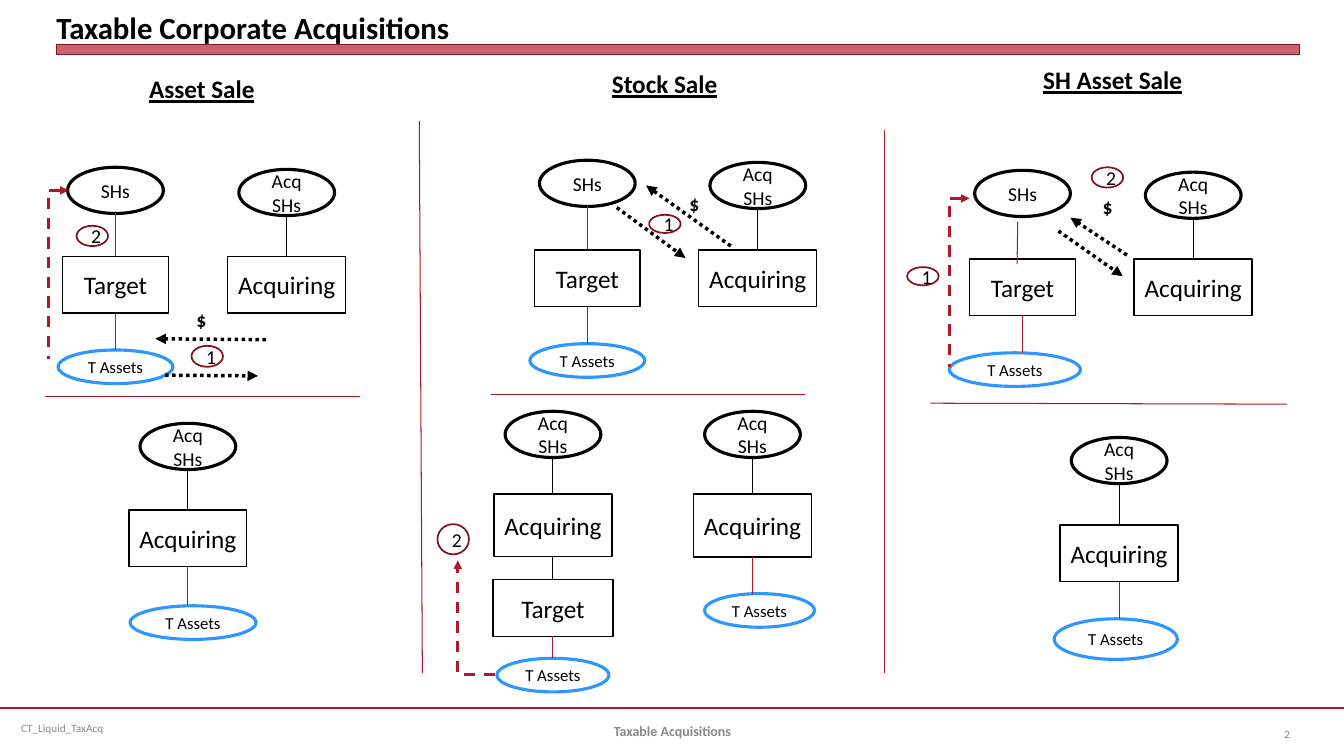
"""Build the slide comparing three forms of taxable corporate acquisition."""
from pptx import Presentation
from pptx.dml.color import RGBColor
from pptx.enum.dml import MSO_LINE as DASH
from pptx.enum.shapes import MSO_CONNECTOR as CONN, MSO_SHAPE as SHAPE
from pptx.enum.text import MSO_ANCHOR as ANCHOR, PP_ALIGN as ALIGN
from pptx.oxml.ns import qn
from pptx.util import Pt
from lxml.etree import SubElement

COLORS = {"black": "000000", "white": "FFFFFF", "red": "B0182A", "rule": "B01C2E",
          "dark": "821522", "blue": "3096FF", "grey": "898989", "number": "808080"}

OWNER = (SHAPE.OVAL, 14, "black", 2.25, 68.4, 33)
BOX = (SHAPE.RECTANGLE, 18, "black", 1, 84.3, 40.5)
NODES = {
    "SHs": OWNER,
    "Acq\nSHs": OWNER,
    "Acquiring": BOX,
    "Target": BOX[:4] + (75.6, 40.5),
    "T Assets": (SHAPE.OVAL, 12, "blue", 2.25, 82, 24),
}


def color(name):
    return RGBColor.from_string(COLORS[name])


def write(tf, text, size=14, ink="black", bold=False, underline=False,
          align=ALIGN.LEFT, anchor=ANCHOR.TOP, wrap=False):
    tf.word_wrap = wrap
    tf.vertical_anchor = anchor
    for i, row in enumerate(text.split("\n")):
        p = tf.add_paragraph() if i else tf.paragraphs[0]
        p.alignment = align
        r = p.add_run()
        r.text = row
        r.font.name = "Calibri"
        r.font.size = Pt(size)
        r.font.bold = bold
        r.font.underline = underline
        r.font.color.rgb = color(ink)


def add_text(s, text, x, y, w, h, **fmt):
    sp = s.shapes.add_textbox(Pt(x), Pt(y), Pt(w), Pt(h))
    write(sp.text_frame, text, **fmt)


def add_shape(s, kind, x, y, w, h, ink, weight, fill=None):
    sp = s.shapes.add_shape(kind, Pt(x), Pt(y), Pt(w), Pt(h))
    sp.shadow.inherit = False
    if fill:
        sp.fill.solid()
        sp.fill.fore_color.rgb = color(fill)
    else:
        sp.fill.background()
    sp.line.color.rgb = color(ink)
    sp.line.width = Pt(weight)
    return sp


def add_node(s, name, cx, top, **size):
    kind, font_size, ink, weight, w, h = NODES[name]
    w, h = size.get("w", w), size.get("h", h)
    sp = add_shape(s, kind, cx - w / 2, top, w, h, ink, weight)
    write(sp.text_frame, name, size=font_size, align=ALIGN.CENTER, anchor=ANCHOR.MIDDLE)
    return sp


def add_badge(s, text, x, y, h):
    sp = add_shape(s, SHAPE.OVAL, x, y, 22.5, h, "dark", 1.25, fill="white")
    write(sp.text_frame, text, align=ALIGN.CENTER, anchor=ANCHOR.MIDDLE, wrap=True)


def add_line(s, x1, y1, x2, y2, ink="red", weight=0.75, dash=None, arrow=None, kind=CONN.STRAIGHT):
    c = s.shapes.add_connector(kind, Pt(x1), Pt(y1), Pt(x2), Pt(y2))
    c.line.color.rgb = color(ink)
    c.line.width = Pt(weight)
    if dash:
        c.line.dash_style = dash
    if arrow:
        SubElement(c.line._get_or_add_ln(), qn(f"a:{arrow}"), type="triangle")
    SubElement(c._element.spPr, qn("a:effectLst"))
    return c


def add_exchange(s, *ends):
    add_line(s, *ends, ink="black", weight=2.5, dash=DASH.ROUND_DOT, arrow="tailEnd")


def add_elbow(s, *ends, arrow):
    c = add_line(s, *ends, weight=2, dash=DASH.DASH, arrow=arrow, kind=CONN.ELBOW)
    c._element.spPr.find(qn("a:prstGeom")).set("prst", "bentConnector2")


def add_chain(s, cx, *items):
    """Stack (name, top, options) nodes and join each to the one below."""
    above = None
    for name, top, *options in items:
        size = dict(options[0]) if options else {}
        sp = add_node(s, name, size.pop("cx", cx), top, **size)
        if above:
            upper_name, upper = above
            ink = "red" if name == "T Assets" or upper_name == "SHs" else "black"
            c = add_line(s, cx, (upper.top + upper.height) / Pt(1), cx, top, ink)
            if NODES[upper_name][0] == SHAPE.RECTANGLE:
                c.begin_connect(upper, 2)
            if NODES[name][0] == SHAPE.RECTANGLE:
                c.end_connect(sp, 0)
        above = name, sp


def add_frame(s):
    add_line(s, 0, 505.5, 960, 505.5, "rule", 1.25)
    bar = add_shape(s, SHAPE.RECTANGLE, 40.3, 32, 888, 7, "dark", 0.5, fill="rule")
    fill = bar._element.spPr.find(qn("a:solidFill"))
    SubElement(fill[0], qn("a:alpha"), val="69000")
    title = s.shapes.title
    title.left, title.top, title.width, title.height = Pt(40.3), Pt(3.6), Pt(888), Pt(28.8)
    tf = title.text_frame
    tf.margin_left = tf.margin_right = tf.margin_top = tf.margin_bottom = 0
    write(tf, "Taxable Corporate Acquisitions", size=22, bold=True, anchor=ANCHOR.BOTTOM, wrap=True)
    footer = dict(anchor=ANCHOR.MIDDLE, wrap=True)
    add_text(s, "CT_Liquid_TaxAcq", 8, 505.5, 248, 29, size=8, ink="grey", **footer)
    add_text(s, "Taxable Acquisitions", 328.3, 507.6, 304, 29, size=10, ink="grey", bold=True,
             align=ALIGN.CENTER, **footer)
    add_text(s, "2", 880.5, 510, 48, 29, size=8, ink="number", align=ALIGN.RIGHT, **footer)
    for text, x, y, w in (("Asset Sale", 99.4, 49, 91), ("Stock Sale", 430, 45.4, 91),
                          ("SH Asset Sale", 738, 42.5, 114.5)):
        add_text(s, text, x, y, w, 29, size=18, bold=True, underline=True)
    for ends in ((299.5, 86.4, 301.7, 481), (632, 93, 632, 481), (32.4, 283, 257, 283),
                 (350.6, 281.5, 575.3, 281.5), (664.6, 288, 919.4, 288.7)):
        add_line(s, *ends)


def add_asset_sale(s):
    add_chain(s, 82.5, ("SHs", 119.5), ("Target", 183), ("T Assets", 250))
    add_chain(s, 204.8, ("Acq\nSHs", 121), ("Acquiring", 183))
    add_chain(s, 134.2, ("Acq\nSHs", 302.4), ("Acquiring", 364.3),
              ("T Assets", 432.7, {"w": 90, "cx": 137.9}))
    add_exchange(s, 190, 242.6, 111, 242)
    add_exchange(s, 118, 268, 184.3, 268.5)
    add_elbow(s, 49, 136, 34.6, 256.3, arrow="headEnd")
    add_badge(s, "1", 136.8, 247, 15)
    add_badge(s, "2", 54.7, 161.3, 14.5)
    add_text(s, "$", 133.2, 216.7, 21.6, 24.5, bold=True)


def add_stock_sale(s):
    add_chain(s, 419.5, ("SHs", 114.5), ("Target", 178.6), ("T Assets", 245.5))
    add_chain(s, 541.3, ("Acq\nSHs", 116), ("Acquiring", 178.6))
    add_chain(s, 395, ("Acq\nSHs", 293.8), ("Acquiring", 352.8, {"h": 44.8}),
              ("Target", 414, {"w": 85.7}), ("T Assets", 470.2, {"w": 80}))
    add_chain(s, 537.5, ("Acq\nSHs", 293.8), ("Acquiring", 352.8, {"h": 45}),
              ("T Assets", 424, {"w": 78.5, "cx": 542.5}))
    add_exchange(s, 440.6, 148.3, 489.6, 184.3)
    add_exchange(s, 522, 175.7, 461.5, 132.5)
    add_elbow(s, 353.5, 481.7, 327, 400.3, arrow="tailEnd")
    add_badge(s, "1", 463.7, 153.4, 13)
    add_badge(s, "2", 312.5, 374.4, 21.6)
    add_text(s, "$", 485.3, 133.2, 21.6, 24.5, bold=True)


def add_sh_asset_sale(s):
    add_node(s, "SHs", 730.4, 121.7)
    add_chain(s, 730.4, ("Target", 185), ("T Assets", 252, {"w": 93.6, "cx": 725}))
    add_line(s, 727, 158.4, 726.5, 188.6)
    add_chain(s, 852.3, ("Acq\nSHs", 123), ("Acquiring", 185))
    add_chain(s, 799.4, ("Acq\nSHs", 312.5), ("Acquiring", 375),
              ("T Assets", 442, {"w": 88, "h": 29, "cx": 797}))
    add_exchange(s, 756, 165, 802, 197.3)
    add_exchange(s, 805, 182.2, 764.6, 155.5)
    add_elbow(s, 692.6, 141.8, 678.2, 262, arrow="headEnd")
    add_badge(s, "1", 648, 190.8, 13)
    add_badge(s, "2", 779.8, 119.5, 14.5)
    add_text(s, "$", 780.5, 135.4, 21.6, 24.5, bold=True)


def main():
    prs = Presentation()
    prs.slide_width, prs.slide_height = Pt(960), Pt(540)
    s = prs.slides.add_slide(prs.slide_layouts[5])
    add_frame(s)
    add_asset_sale(s)
    add_stock_sale(s)
    add_sh_asset_sale(s)
    prs.save("out.pptx")


if __name__ == "__main__":
    main()
